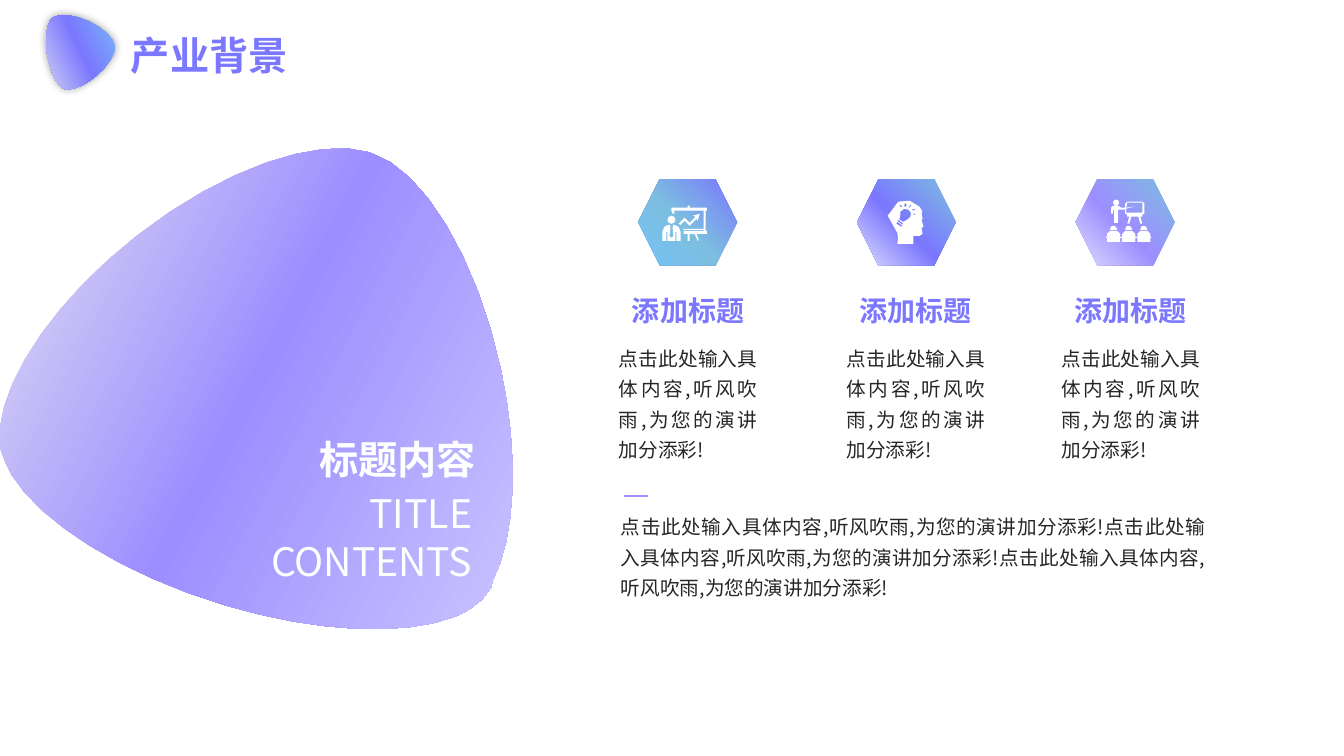
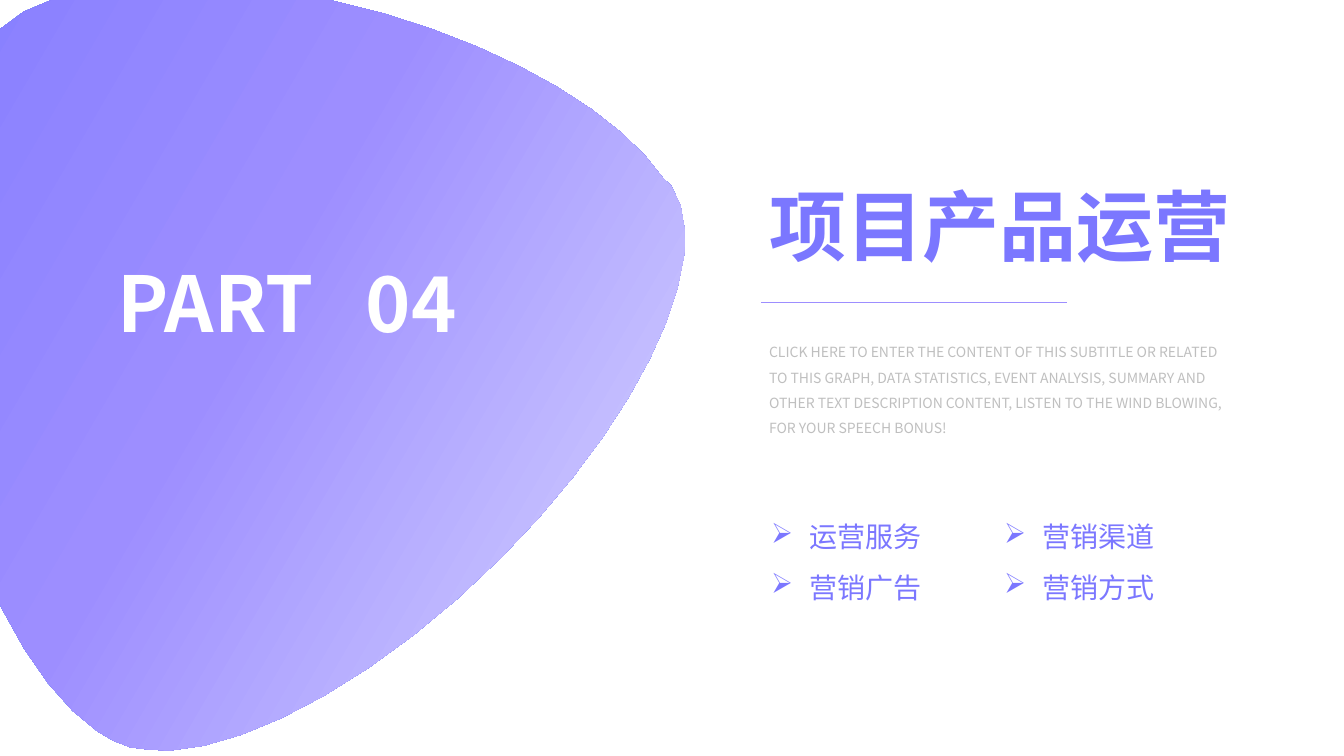
from lxml import etree
from pptx import Presentation
from pptx import util as u
from pptx.dml.color import RGBColor
from pptx.enum import shapes, text
from pptx.oxml.ns import qn

PX = 9144
FONT = "Noto Sans CJK SC"
BLUE = RGBColor(0x7B, 0x77, 0xFF)
VIOLET = RGBColor(0x9D, 0x8E, 0xFF)
INDIGO = RGBColor(0x85, 0x7E, 0xFF)
LILAC = RGBColor(0xDE, 0xDE, 0xFF)
MIST = RGBColor(0xEF, 0xEF, 0xEF)
SKY = RGBColor(0x75, 0xC2, 0xF6)
TEAL = RGBColor(0x7C, 0xBE, 0xE0)
CYAN = RGBColor(0x65, 0xDA, 0xF7)
WHITE = RGBColor(0xFF, 0xFF, 0xFF)
INK = RGBColor(0x26, 0x26, 0x26)
GREY = RGBColor(0xBF, 0xBF, 0xBF)

BLOB = [
    [(159, 33), (245, -28, 452, -5, 659, 95), (822, 174, 943, 280, 984, 370),
     (992, 380), (1000, 408), (1000, 439), (997, 460),
     (993, 475), (962, 577, 851, 709, 692, 822), (517, 946, 333, 1011, 222, 998),
     (195, 992), (172, 985), (152, 973), (134, 958), (56, 883, 0, 708, 0, 505),
     (0, 284, 66, 98, 155, 35)],
]


def circle(x, y, r):
    k = 0.55 * r
    return [(x, y - r),
            (x + k, y - r, x + r, y - k, x + r, y),
            (x + r, y + k, x + k, y + r, x, y + r),
            (x - k, y + r, x - r, y + k, x - r, y),
            (x - r, y - k, x - k, y - r, x, y - r)]


def shifted(contour, dx):
    return [tuple(value + dx * (i % 2 == 0) for i, value in enumerate(segment))
            for segment in contour]


PRESENTER = [
    [(22, 12), (16, 18), (18, 19), (22, 15), (27, 20), (34, 13), (35, 15),
     (37, 8), (30, 10), (33, 11), (27, 17)],
    [(44, 5), (44, 2), (27, 2), (27, 0), (25, 0), (25, 2), (9, 2), (9, 5),
     (10, 8), (12, 8), (12, 5), (41, 5), (41, 23), (20, 23), (21, 24),
     (41, 24), (41, 25), (21, 25), (21, 28), (25, 28), (25, 35), (27, 35),
     (27, 28), (32, 28), (35, 35), (36, 34), (34, 28), (44, 28), (44, 25),
     (43, 25), (43, 5)],
    circle(9, 14, 4),
    [(12, 19), (10, 19), (11, 20), (10, 22), (11, 30), (9, 32), (7, 30), (8, 22),
     (8, 19), (6, 19), (3, 19, 0, 22, 0, 26), (0, 35), (4, 35), (4, 26), (5, 26),
     (5, 35), (13, 35), (13, 26), (14, 26), (14, 35), (18, 35), (18, 26),
     (18, 22, 15, 19, 12, 19)],
]
IDEA = [
    [(26, 11), (23, 9, 20, 10, 18, 13), (17, 15, 19, 18, 17, 21), (21, 23),
     (23, 21, 27, 21, 28, 18), (30, 16, 28, 12, 26, 11)],
    [(21, 25), (16, 21), (15, 22), (16, 23), (20, 26)],
    [(20, 27), (15, 23), (14, 25), (19, 28)],
    [(27, 9), (29, 7), (28, 6), (26, 9)],
    [(30, 12), (33, 11), (32, 10), (29, 11)],
    [(24, 8), (24, 5), (22, 5), (22, 8)],
    [(20, 8), (18, 6), (17, 7), (19, 9)],
    [(31, 16), (33, 16), (33, 15), (31, 15)],
    [(15, 45), (16, 41, 16, 38, 15, 34), (0, 26, 4, 7, 16, 3),
     (23, 0, 32, 2, 37, 8), (40, 13), (39, 14), (40, 20), (39, 21), (41, 28),
     (39, 29), (40, 35), (37, 37), (31, 37), (31, 45)],
]
PUPIL_HEAD = [(4, 30), (4, 27, 5, 26, 7, 26), (9, 26, 11, 27, 11, 30)]
PUPIL_BODY = [(4, 31), (11, 31), (14, 34), (14, 37), (15, 37), (15, 38), (14, 38),
              (14, 42), (1, 42), (1, 38), (0, 38), (0, 37), (1, 37), (1, 34)]
TRAINING = [
    [(21, 2), (19, 4), (19, 8), (15, 8), (12, 6), (7, 6), (5, 8), (5, 14), (7, 14),
     (7, 10), (8, 10), (8, 23), (10, 23), (10, 17), (10, 23), (12, 23), (12, 10),
     (18, 10), (19, 9), (19, 14), (21, 15), (36, 15), (38, 14), (38, 4), (36, 2)],
    [(21, 3), (36, 3), (36, 13), (20, 13), (20, 9), (28, 7), (20, 8)],
    [(36, 15), (36, 17), (34, 17), (36, 24), (34, 24), (32, 17), (25, 17),
     (23, 24), (21, 24), (23, 17), (21, 17), (21, 15)],
    circle(10, 3, 3),
    *[shifted(part, dx) for dx in (0, 15, 30) for part in (PUPIL_HEAD, PUPIL_BODY)],
]

BODY = "点击此处输入具体内容,听风吹雨,为您的演讲加分添彩!"
COLUMNS = [
    (604, PRESENTER, (657, 204), [(0, BLUE), (54, TEAL), (100, SKY)]),
    (830, IDEA, (875, 197), [(0, TEAL), (54, BLUE), (100, LILAC)]),
    (1043, TRAINING, (1097, 198), [(0, TEAL), (54, VIOLET), (100, LILAC)]),
]
SUBTITLE = ("CLICK HERE TO ENTER THE CONTENT OF THIS SUBTITLE OR RELATED TO THIS GRAPH, "
            "DATA STATISTICS, EVENT ANALYSIS, SUMMARY AND OTHER TEXT DESCRIPTION CONTENT, "
            "LISTEN TO THE WIND BLOWING, FOR YOUR SPEECH BONUS!")


def px(*lengths):
    return [round(length * PX) for length in lengths]


def finish(shape):
    shape.shadow.inherit = False
    shape.line.fill.background()
    return shape


def flatten(contour, steps):
    points = [contour[0]]
    for segment in contour[1:]:
        if len(segment) == 2:
            points.append(segment)
            continue
        controls = [points[-1], segment[:2], segment[2:4], segment[4:]]
        for step in range(1, steps + 1):
            t = step / steps
            weights = ((1 - t) ** 3, 3 * t * (1 - t) ** 2, 3 * t * t * (1 - t), t ** 3)
            points.append(tuple(sum(w * c[axis] for w, c in zip(weights, controls))
                                for axis in (0, 1)))
    return points


def add_outline(slide, contours, left, top, scale=1, steps=2):
    builder = None
    for contour in contours:
        points = [px(left + x * scale, top + y * scale) for x, y in flatten(contour, steps)]
        if builder is None:
            builder = slide.shapes.build_freeform(*points[0])
        else:
            builder.move_to(*points[0])
        builder.add_line_segments(points[1:], close=True)
    return finish(builder.convert_to_shape())


def fill_gradient(shape, stops, angle):
    shape.fill.gradient()
    shape.fill.gradient_angle = (360 - angle) % 360
    stop_list = shape._element.spPr.find(".//" + qn("a:gsLst"))
    for stop in list(stop_list):
        stop_list.remove(stop)
    for position, color in stops:
        stop = etree.SubElement(stop_list, qn("a:gs"), pos=str(position * 1000))
        etree.SubElement(stop, qn("a:srgbClr"), val=str(color))


def add_blob(slide, left, top, size, rotation, stops, angle=40, steps=8):
    blob = add_outline(slide, BLOB, left, top, size / 1000, steps)
    blob.rotation = rotation
    fill_gradient(blob, stops, angle)
    return blob


def add_glow(shape):
    effects = shape._element.spPr.find(qn("a:effectLst"))
    shadow = etree.SubElement(effects, qn("a:outerShdw"), blurRad="76200", dist="0",
                              dir="0", algn="ctr", rotWithShape="0")
    color = etree.SubElement(shadow, qn("a:srgbClr"), val="000000")
    etree.SubElement(color, qn("a:alpha"), val="40000")


def add_run(paragraph, content, size, color, bold):
    run = paragraph.add_run()
    run.text = content
    run.font.size = u.Pt(size)
    run.font.bold = bold
    run.font.color.rgb = color
    run.font.name = FONT
    properties = run.font._element
    etree.SubElement(properties, qn("a:ea"), typeface=FONT)
    return properties


def add_text(slide, box, *lines, size, color, bold=False, align=None, spacing=None,
             wrap=True, bullet=None, word_gap=0):
    frame = slide.shapes.add_textbox(*px(*box)).text_frame
    frame.word_wrap = wrap
    frame.auto_size = text.MSO_AUTO_SIZE.SHAPE_TO_FIT_TEXT
    for index, line in enumerate(lines):
        paragraph = frame.add_paragraph() if index else frame.paragraphs[0]
        paragraph.alignment = align
        paragraph.line_spacing = spacing
        if bullet:
            properties = paragraph._p.get_or_add_pPr()
            properties.set("marL", str(38 * PX))
            properties.set("indent", str(-38 * PX))
            etree.SubElement(properties, qn("a:buChar"), char=bullet)
        for piece in line.partition(" ") if word_gap else [line]:
            properties = add_run(paragraph, piece, size, color, bold)
            if word_gap and piece == " ":
                properties.set("spc", str(word_gap * 100))


def add_rule(slide, left, right, y, width):
    rule = slide.shapes.add_connector(shapes.MSO_CONNECTOR.STRAIGHT, *px(left, y, right, y))
    rule.line.color.rgb = VIOLET
    rule.line.width = u.Pt(width)
    etree.SubElement(rule._element.spPr, qn("a:effectLst"))


def add_page_title(slide, title):
    add_text(slide, (120, 26, 177, 57), title, size=28, color=BLUE, bold=True, wrap=False)
    emblem = add_blob(slide, 38, 18, 71, 114.6, [(2, SKY), (44, BLUE), (97, MIST)], steps=4)
    add_glow(emblem)


def add_column(slide, hexagon_left, left, icon, icon_at, stops):
    hexagon = finish(slide.shapes.add_shape(shapes.MSO_SHAPE.HEXAGON,
                                            *px(hexagon_left, 178, 98, 85)))
    fill_gradient(hexagon, stops, 135)
    symbol = add_outline(slide, icon, *icon_at)
    symbol.fill.solid()
    symbol.fill.fore_color.rgb = WHITE
    add_text(slide, (left, 332, 157, 133), BODY, size=14, color=INK,
             align=text.PP_ALIGN.JUSTIFY, spacing=1.3)
    add_text(slide, (left + 13, 286, 150, 44), "添加标题", size=20, color=BLUE, bold=True)


def build_background(slide):
    add_blob(slide, 43, 180, 495, 52, [(2, MIST), (44, VIOLET), (97, LILAC)], angle=336)
    add_text(slide, (307, 427, 177, 57), "标题内容", size=28, color=WHITE, bold=True, wrap=False)
    add_text(slide, (246, 481, 232, 104), "TITLE CONTENTS", size=28, color=WHITE,
             align=text.PP_ALIGN.RIGHT)
    for index, column in enumerate(COLUMNS):
        add_column(slide, 633 + 217 * index, *column)
    add_text(slide, (606, 499, 599, 102), BODY * 3, size=14, color=INK,
             align=text.PP_ALIGN.JUSTIFY, spacing=1.3)
    add_rule(slide, 619, 643, 492, 1)
    add_page_title(slide, "产业背景")


def build_section(slide):
    add_blob(slide, -67, -43, 759, 350.3,
             [(2, CYAN), (6, INDIGO), (44, VIOLET), (97, LILAC)])
    add_text(slide, (91, 249, 388, 103), "PART 04", size=55, color=WHITE, bold=True,
             align=text.PP_ALIGN.CENTER, wrap=False, word_gap=25)
    add_text(slide, (753, 172, 483, 103), "项目产品运营", size=55, color=BLUE, bold=True,
             wrap=False)
    add_text(slide, (753, 328, 483, 108), SUBTITLE, size=10, color=GREY, spacing=1.5)
    add_rule(slide, 755, 1058, 300, 0.5)
    for left, width, topics in ((755, 225, ("运营服务", "营销广告")),
                                (986, 310, ("营销渠道", "营销方式"))):
        add_text(slide, (left, 494, width, 105), *topics, size=20, color=BLUE,
                 spacing=1.5, bullet="➢")


def main():
    presentation = Presentation()
    presentation.slide_width, presentation.slide_height = px(1333, 750)
    for build in (build_background, build_section):
        build(presentation.slides.add_slide(presentation.slide_layouts[6]))
    presentation.save("out.pptx")


if __name__ == "__main__":
    main()
